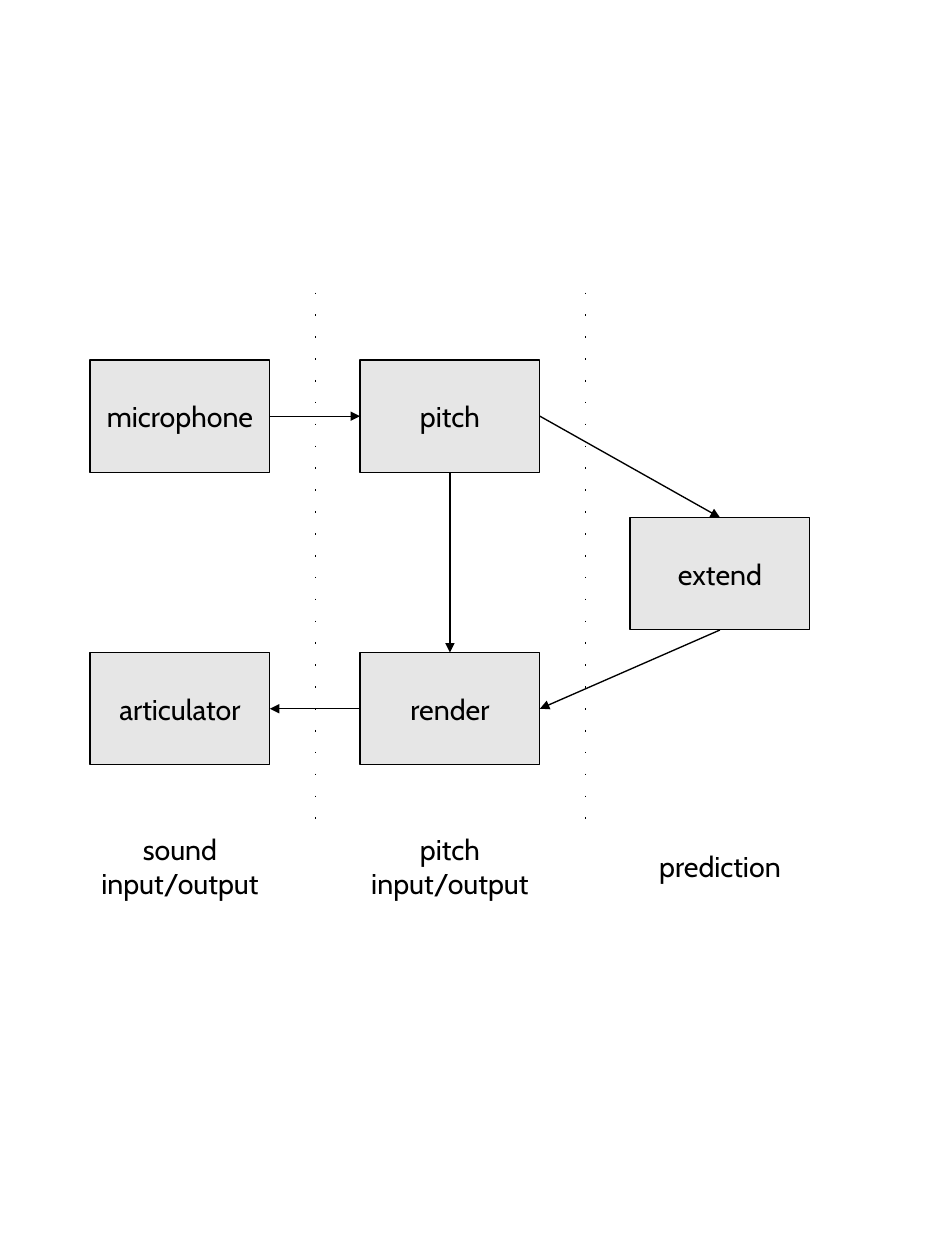
"""Builds a diagram of sound, pitch and prediction modules."""
from dataclasses import dataclass

from lxml.etree import SubElement
from pptx import Presentation
from pptx.dml.color import RGBColor
from pptx.enum.shapes import MSO_CONNECTOR, MSO_SHAPE
from pptx.enum.text import MSO_ANCHOR, PP_ALIGN
from pptx.oxml.ns import qn
from pptx.util import Inches, Pt

BOXES = {
    "microphone": (0, 8),
    "pitch": (1, 8),
    "extend": (2, 11.5),
    "render": (1, 14.5),
    "articulator": (0, 14.5),
}
TOP, LEFT, BOTTOM, RIGHT = range(4)
ARROWS = [
    ("microphone", RIGHT, "pitch", LEFT),
    ("render", LEFT, "articulator", RIGHT),
    ("extend", BOTTOM, "render", RIGHT),
    ("pitch", RIGHT, "extend", TOP),
    ("pitch", BOTTOM, "render", TOP),
]
LABELS = ["sound\ninput/output", "pitch\ninput/output", "prediction"]

PAGE = (21, 28)
MARGIN, STEP = 2, 6
WIDTH, HEIGHT = 4, 2.5
RULE_TOP, RULE_END = 6.5, 18.5
LABEL_HEIGHT = 1.5


@dataclass(frozen=True)
class Theme:
    font: str = "Cabin"
    size: float = 18
    ink: RGBColor = RGBColor(0, 0, 0)
    box: RGBColor = RGBColor(0xE6, 0xE6, 0xE6)
    paper: RGBColor = RGBColor(0xFF, 0xFF, 0xFF)
    arrow: float = 0.85
    dots: float = 0.5


THEME = Theme()


def metric(length):
    return Inches(length / 2.54)


def column(index):
    return MARGIN + index * STEP


def write(slide, text, left, top, height, fill, outline=False):
    shape = slide.shapes.add_shape(
        MSO_SHAPE.RECTANGLE, *map(metric, (left, top, WIDTH, height)))
    shape.shadow.inherit = False
    shape.fill.solid()
    shape.fill.fore_color.rgb = fill
    if outline:
        shape.line.color.rgb = THEME.ink
        shape.line.width = Pt(0)
    else:
        shape.line.fill.background()
    frame = shape.text_frame
    frame.word_wrap = False
    frame.vertical_anchor = MSO_ANCHOR.MIDDLE
    frame.text = text
    for line in frame.paragraphs:
        line.alignment = PP_ALIGN.CENTER
        for run in line.runs:
            run.font.name = THEME.font
            run.font.size = Pt(THEME.size)
            run.font.color.rgb = THEME.ink
    return shape


def draw(slide, start, end, width):
    link = slide.shapes.add_connector(
        MSO_CONNECTOR.STRAIGHT, *map(metric, start + end))
    link.line.color.rgb = THEME.ink
    link.line.width = Pt(width)
    SubElement(link.line._ln.getparent(), qn("a:effectLst"))
    return link


def main():
    deck = Presentation()
    deck.slide_width, deck.slide_height = map(metric, PAGE)
    slide = deck.slides.add_slide(deck.slide_layouts[6])

    boxes = {
        name: write(slide, name, column(index), top, HEIGHT, THEME.box, outline=True)
        for name, (index, top) in BOXES.items()
    }
    for source, side, target, edge in ARROWS:
        link = draw(slide, (0, 0), (1, 1), THEME.arrow)
        link.begin_connect(boxes[source], side)
        link.end_connect(boxes[target], edge)
        SubElement(link.line._ln, qn("a:tailEnd"), type="triangle")

    for index in (1, 2):
        middle = column(index) - (STEP - WIDTH) / 2
        rule = draw(slide, (middle, RULE_TOP), (middle, RULE_END), THEME.dots)
        dash = SubElement(rule.line._ln, qn("a:custDash"))
        SubElement(dash, qn("a:ds"), d="200000", sp="2500000")

    for index, label in enumerate(LABELS):
        write(slide, label, column(index), RULE_END, LABEL_HEIGHT, THEME.paper)

    deck.save("out.pptx")


if __name__ == "__main__":
    main()
